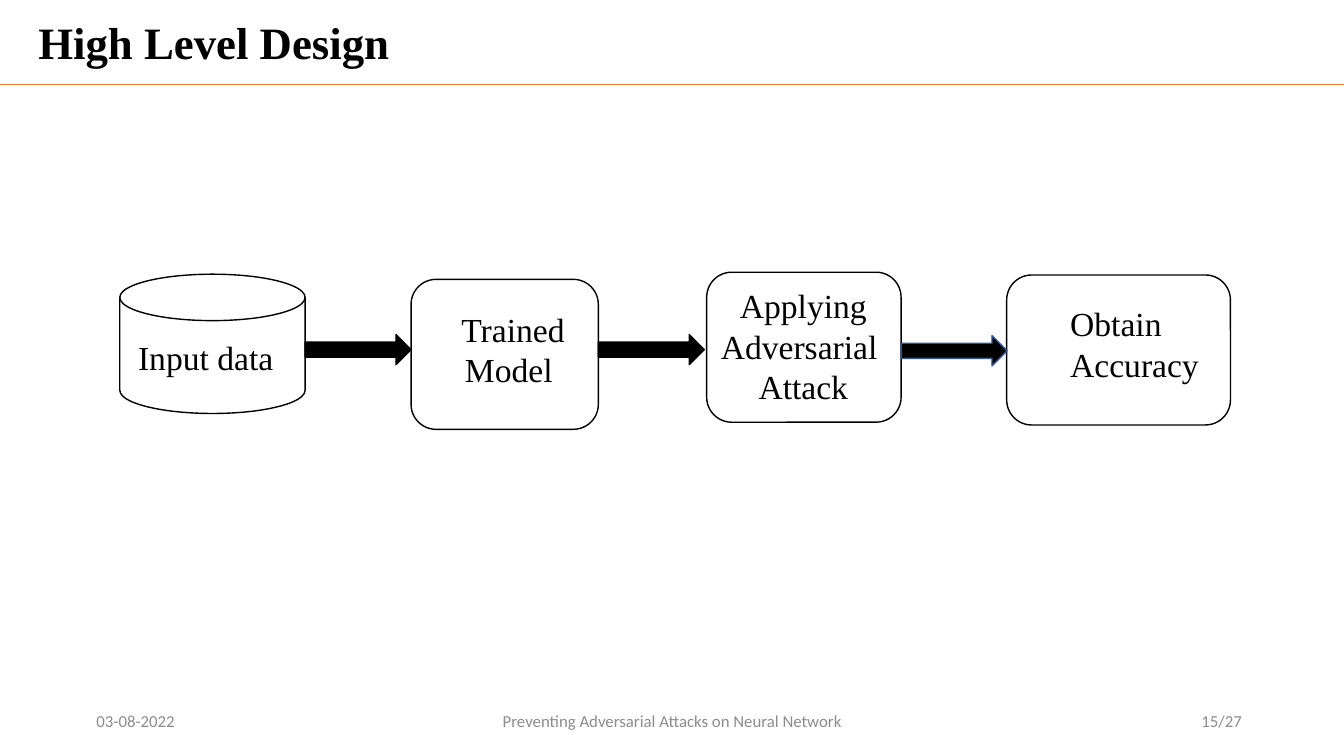
from lxml import etree
from pptx import Presentation
from pptx import util as u
from pptx.dml.color import RGBColor
from pptx.enum import shapes, text
from pptx.oxml.ns import qn

COLORS = {"ink": "000000", "rule": "ED7D31", "footer": "8C8C8C", "arrow_edge": "325491"}
SERIF, SANS = "Times New Roman", "Calibri"
LEFT, CENTER, RIGHT = text.PP_ALIGN.LEFT, text.PP_ALIGN.CENTER, text.PP_ALIGN.RIGHT
ROUNDED = shapes.MSO_SHAPE.ROUNDED_RECTANGLE
DISK = shapes.MSO_SHAPE.FLOWCHART_MAGNETIC_DISK

PAGE_WIDTH, PAGE_HEIGHT = 33.87, 19.05
RULE_TOP = 2.13
TITLE = ("High Level Design", (0.71, 0.25, 22.96, 1.63))
FOOTERS = [
    ("03-08-2022", 2.18, 7.62, LEFT),
    ("Preventing Adversarial Attacks on Neural Network", 11.23, 11.43, CENTER),
    ("15/27", 23.93, 7.62, RIGHT),
]
FOOTER_TOP, FOOTER_HEIGHT = 17.65, 1.02
STAGES = [
    (DISK, (3.02, 6.91, 4.67, 3.51), ["Input data"], (3.23, 8.36, 4.16, 1.27), LEFT),
    (ROUNDED, (10.36, 7.04, 4.72, 3.78), ["Trained", "Model "], (11.18, 7.65, 3.5, 2.31), CENTER),
    (ROUNDED, (17.81, 6.86, 4.9, 3.78), ["Applying", "Adversarial ", "Attack"],
     (17.73, 7.06, 5.03, 3.33), CENTER),
    (ROUNDED, (25.37, 6.93, 5.64, 3.78), ["Obtain", "Accuracy"], (26.72, 7.52, 4.17, 2.31), LEFT),
]
ARROWS = [(8.43, "ink"), (8.43, "ink"), (8.46, "arrow_edge")]
ARROW_WIDTH, ARROW_HEIGHT = 2.67, 0.76


def color(name):
    return RGBColor.from_string(COLORS[name])


def place(values):
    return [u.Cm(value) for value in values]


def write(box, lines, size=24, font=SERIF, ink="ink", bold=False, align=LEFT,
          anchor=text.MSO_ANCHOR.TOP):
    frame = box.text_frame
    frame.word_wrap = True
    frame.auto_size = text.MSO_AUTO_SIZE.NONE
    frame.vertical_anchor = anchor
    for index, line in enumerate(lines):
        para = frame.add_paragraph() if index else frame.paragraphs[0]
        para.alignment = align
        span = para.add_run()
        span.text = line
        span.font.size = u.Pt(size)
        span.font.name = font
        span.font.bold = bold
        span.font.color.rgb = color(ink)


def add_outline(page, kind, bounds, edge="ink", fill=None):
    shape = page.shapes.add_shape(kind, *place(bounds))
    shape.shadow.inherit = False
    if fill:
        shape.fill.solid()
        shape.fill.fore_color.rgb = color(fill)
    else:
        shape.fill.background()
    shape.line.color.rgb = color(edge)
    shape.line.width = u.Pt(1)


def main():
    deck = Presentation()
    deck.slide_width, deck.slide_height = u.Cm(PAGE_WIDTH), u.Cm(PAGE_HEIGHT)
    page = deck.slides.add_slide(deck.slide_layouts[5])

    heading, bounds = TITLE
    title = page.shapes.title
    title.left, title.top, title.width, title.height = place(bounds)
    write(title, [heading], size=32, bold=True, align=text.PP_ALIGN.JUSTIFY)

    rule = page.shapes.add_connector(
        shapes.MSO_CONNECTOR.STRAIGHT, *place((0, RULE_TOP, PAGE_WIDTH, RULE_TOP)))
    rule.line.color.rgb = color("rule")
    rule.line.width = u.Pt(0.5)
    etree.SubElement(rule.element.spPr, qn("a:effectLst"))

    for wording, left, width, align in FOOTERS:
        box = page.shapes.add_textbox(*place((left, FOOTER_TOP, width, FOOTER_HEIGHT)))
        write(box, [wording], size=12, font=SANS, ink="footer", align=align,
              anchor=text.MSO_ANCHOR.MIDDLE)

    for kind, bounds, lines, label_bounds, align in STAGES:
        add_outline(page, kind, bounds)
        write(page.shapes.add_textbox(*place(label_bounds)), lines, align=align)

    for (_, (left, _, width, _), *_), (top, edge) in zip(STAGES, ARROWS):
        add_outline(page, shapes.MSO_SHAPE.RIGHT_ARROW,
                    (left + width, top, ARROW_WIDTH, ARROW_HEIGHT), edge=edge, fill="ink")

    deck.save("out.pptx")


if __name__ == "__main__":
    main()
